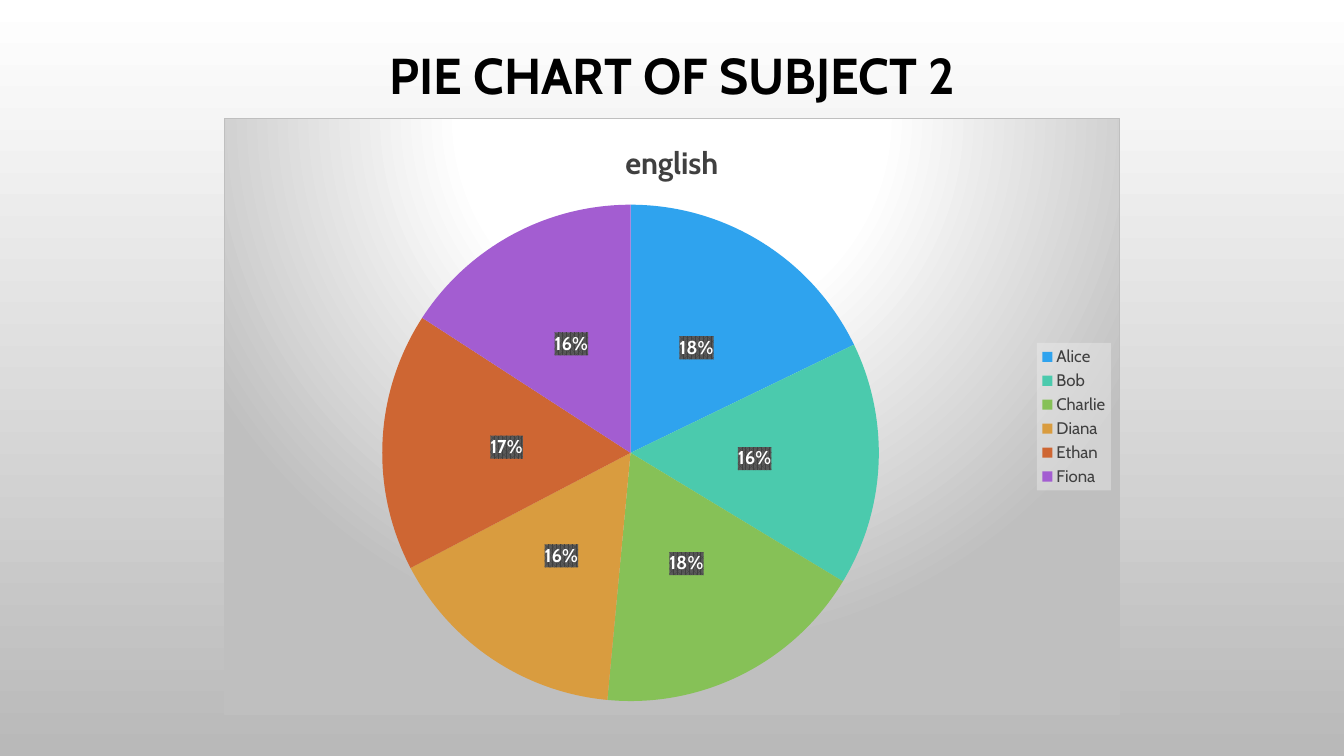
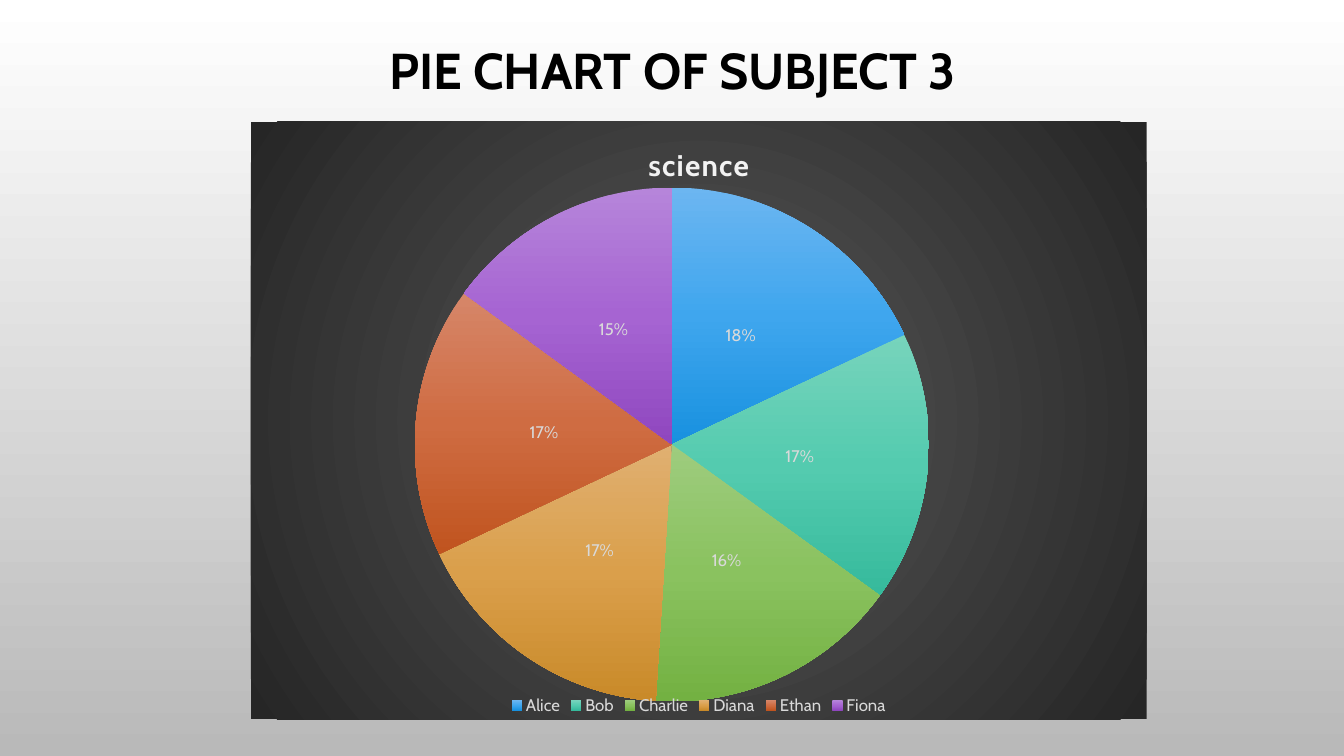
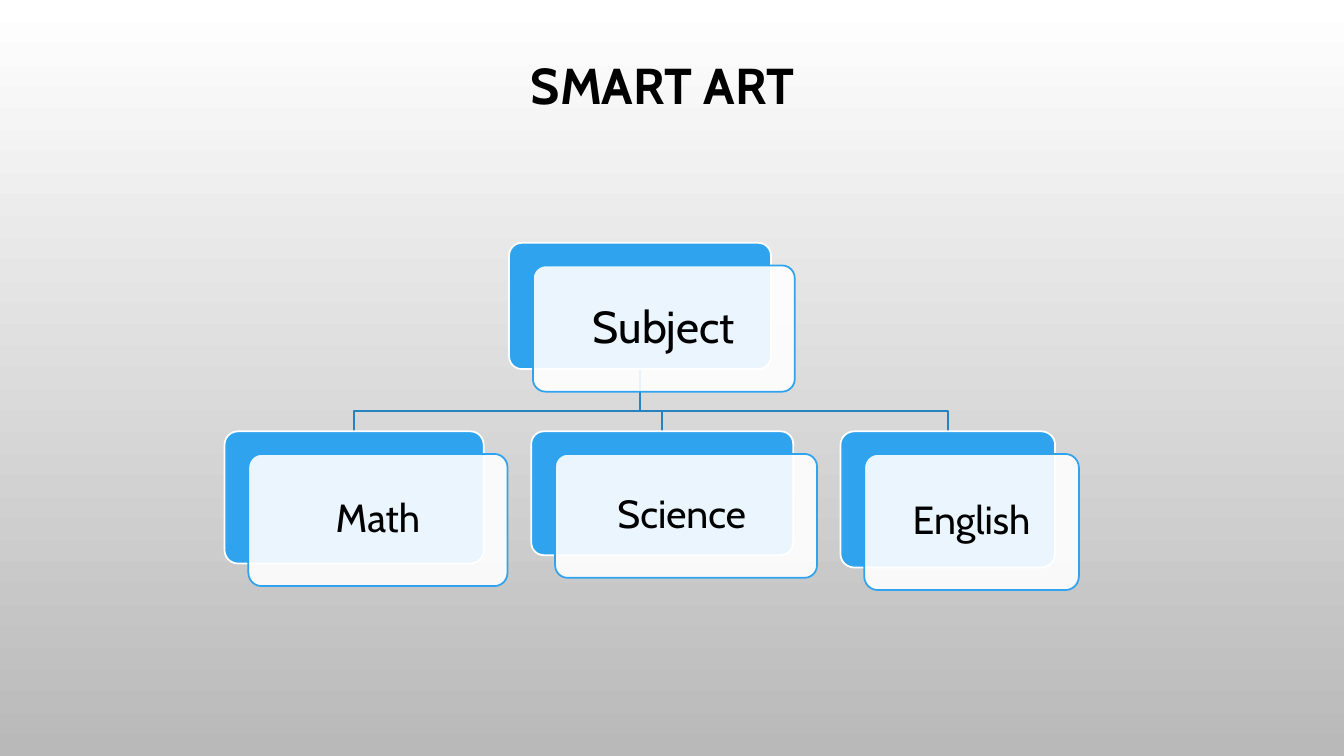
from lxml import etree
from pptx import Presentation
from pptx.chart.data import CategoryChartData
from pptx.dml.color import RGBColor
from pptx.enum.chart import XL_CHART_TYPE, XL_LABEL_POSITION, XL_LEGEND_POSITION
from pptx.enum.shapes import MSO_SHAPE
from pptx.enum.text import MSO_ANCHOR, PP_ALIGN
from pptx.oxml import parse_xml
from pptx.oxml.ns import nsdecls, qn
from pptx.util import Cm, Pt

PIE = XL_CHART_TYPE.PIE
LABEL_CENTER = XL_LABEL_POSITION.CENTER
LEGEND_RIGHT = XL_LEGEND_POSITION.RIGHT
LEGEND_BOTTOM = XL_LEGEND_POSITION.BOTTOM
ROUNDED = MSO_SHAPE.ROUNDED_RECTANGLE
MIDDLE = MSO_ANCHOR.MIDDLE
CENTER = PP_ALIGN.CENTER

FONT = "Cabin"
COLORS = {
    "text": "000000",
    "white": "FFFFFF",
    "page_end": "B9B9B9",
    "card": "2FA3EE",
    "branch": "2683BF",
    "dark_text": "404040",
    "light_text": "D9D9D9",
    "heading_light": "F2F2F2",
    "border": "BFBFBF",
    "hatch": "595959",
    "night": "262626",
}

STUDENTS = ["Alice", "Bob", "Charlie", "Diana", "Ethan", "Fiona"]
CHART_SIZE = (22.58, 15.06)

PIE_SLIDES = [
    {
        "title": "PIE CHART OF SUBJECT 2",
        "title_box": (2.34, 0.13, 29.21, 3.68),
        "corner": (5.64, 2.97),
        "subject": "english",
        "shares": [18, 16, 18, 16, 17, 16],
        "slices": ["2FA3EE", "4BCAAD", "86C157", "D99C3F", "CE6633", "A35DD1"],
        "heading": {"size": 22, "color": "dark_text", "bold": True},
        "spacing": 0,
        "labels": {"size": 13.3, "color": "white", "bold": True},
        "hatched": True,
        "legend": {"size": 12, "color": "dark_text"},
        "legend_side": LEGEND_RIGHT,
        "backdrop": [(0, COLORS["white"]), (39, COLORS["white"]), (100, COLORS["border"])],
        "focus": (50, -80, 50, 180),
        "bordered": True,
        "plot": None,
    },
    {
        "title": "PIE CHART OF SUBJECT 3",
        "title_box": (2.34, 0, 29.21, 3.68),
        "corner": (6.32, 3.07),
        "subject": "science",
        "shares": [18, 17, 16, 17, 17, 15],
        "slices": [
            ("6CB6F1", "3FA6EE", "1891DF"),
            ("77D4BC", "54CBAF", "36BA9C"),
            ("9ECC7E", "8AC25F", "73B142"),
            ("E0B071", "DA9F4B", "C98A29"),
            ("D68669", "CF6C42", "C0541F"),
            ("B685DA", "A664D2", "8F47BF"),
        ],
        "heading": {"size": 21.3, "color": "heading_light", "bold": True},
        "spacing": 100,
        "labels": {"size": 12, "color": "light_text"},
        "hatched": False,
        "legend": {"size": 12, "color": "light_text"},
        "legend_side": LEGEND_BOTTOM,
        "backdrop": [(0, COLORS["hatch"]), (100, COLORS["night"])],
        "focus": (50, 50, 50, 50),
        "bordered": False,
        "plot": {"x": 0.18, "y": 0.11, "w": 0.58, "h": 0.86},
    },
]

TREE_TITLE = ("SMART ART", (2.31, 0, 28.78, 4.45))
ROOT = ("Subject", 32, (12.83, 6.12, 6.6, 3.18))
CHILD_TOP = 10.87
CHILDREN = [
    ("Math", 28, (5.66, CHILD_TOP, 6.53, 3.33)),
    ("Science ", 28, (13.39, CHILD_TOP, 6.6, 3.12)),
    ("English", 28, (21.18, CHILD_TOP, 5.41, 3.43)),
]
CARD_SHIFT = (0.6, 0.57)
BRANCH_TURN = 10.36
CARD_INSET = 0.3


def rgb(name):
    return RGBColor.from_string(COLORS[name])


def style(font, size, color, bold=False):
    for attribute, value in {"name": FONT, "size": Pt(size), "bold": bold}.items():
        setattr(font, attribute, value)
    font.color.rgb = rgb(color)


def write(frame, text, size, bold=False, inset=None):
    frame.word_wrap = True
    frame.vertical_anchor = MIDDLE
    if inset is not None:
        for side in ("left", "top", "right", "bottom"):
            setattr(frame, f"margin_{side}", Cm(inset))
    line = frame.paragraphs[0]
    line.alignment = CENTER
    line.line_spacing = 0.9
    run = line.add_run()
    run.text = text
    style(run.font, size, "text", bold)


def add_slide(prs, title, box):
    slide = prs.slides.add_slide(prs.slide_layouts[6])
    frame = slide.shapes.add_textbox(*map(Cm, box)).text_frame
    write(frame, title, 36, bold=True)
    return slide


def gradient(stops, focus=None):
    marks = "".join(
        f'<a:gs pos="{pos * 1000}"><a:srgbClr val="{color}"/></a:gs>' for pos, color in stops
    )
    course = '<a:lin ang="5400000" scaled="0"/>'
    if focus:
        sides = " ".join(f'{side}="{value * 1000}"' for side, value in zip("ltrb", focus))
        course = f'<a:path path="circle"><a:fillToRect {sides}/></a:path>'
    return f'<a:gradFill {nsdecls("a")}><a:gsLst>{marks}</a:gsLst>{course}</a:gradFill>'


def paint(chart_part, content):
    look = parse_xml(f'<c:spPr {nsdecls("c", "a")}>{content}</c:spPr>')
    chart_part.find(qn("c:txPr")).addprevious(look)


def place_plot(chart_space, bounds):
    area = chart_space.find(".//" + qn("c:plotArea"))
    for layout in area.findall(qn("c:layout")):
        area.remove(layout)
    modes = '<c:layoutTarget val="inner"/><c:xMode val="edge"/><c:yMode val="edge"/>'
    values = "".join(f'<c:{key} val="{value}"/>' for key, value in bounds.items())
    area.insert(0, parse_xml(
        f'<c:layout {nsdecls("c")}><c:manualLayout>{modes}{values}</c:manualLayout></c:layout>'
    ))


def add_pie(slide, content):
    data = CategoryChartData()
    data.categories = STUDENTS
    data.add_series(content["subject"], content["shares"])
    chart = slide.shapes.add_chart(PIE, *map(Cm, content["corner"] + CHART_SIZE), data).chart
    style(chart.font, 10, "text")

    chart.has_title = True
    heading = chart.chart_title.text_frame.paragraphs[0].add_run()
    heading.text = content["subject"]
    style(heading.font, **content["heading"])
    if content["spacing"]:
        heading.font._element.set("spc", str(content["spacing"]))

    chart.has_legend = True
    legend = chart.legend
    legend.position = content["legend_side"]
    legend.include_in_layout = False
    style(legend.font, **content["legend"])

    pie = chart.plots[0]
    pie.vary_by_categories = True
    series = pie.series[0]
    for index, color in enumerate(content["slices"]):
        piece = series.points[index].format
        if isinstance(color, str):
            piece.fill.solid()
            piece.fill.fore_color.rgb = RGBColor.from_string(color)
        else:
            look = piece._element.get_or_add_spPr()
            look.insert(0, parse_xml(gradient(zip((0, 50, 100), color))))
        piece.line.fill.background()

    labels = series.data_labels
    settings = {
        "show_percentage": True,
        "show_value": False,
        "number_format": "0%",
        "number_format_is_linked": False,
        "position": LABEL_CENTER,
    }
    for attribute, value in settings.items():
        setattr(labels, attribute, value)
    style(labels.font, **content["labels"])

    if content["hatched"]:
        paint(labels._element, (
            '<a:pattFill prst="pct75">'
            f'<a:fgClr><a:srgbClr val="{COLORS["dark_text"]}"/></a:fgClr>'
            f'<a:bgClr><a:srgbClr val="{COLORS["hatch"]}"/></a:bgClr></a:pattFill>'
        ))
        paint(legend._element, (
            f'<a:solidFill><a:srgbClr val="{COLORS["heading_light"]}">'
            '<a:alpha val="39000"/></a:srgbClr></a:solidFill>'
        ))
    edge = "<a:ln><a:noFill/></a:ln>"
    if content["bordered"]:
        edge = (
            f'<a:ln w="{Pt(0.75)}"><a:solidFill><a:srgbClr val="{COLORS["border"]}"/>'
            "</a:solidFill></a:ln>"
        )
    paint(chart._chartSpace, gradient(content["backdrop"], content["focus"]) + edge)
    if content["plot"]:
        place_plot(chart._chartSpace, content["plot"])


def outline(shape, color):
    shape.shadow.inherit = False
    shape.line.color.rgb = rgb(color)
    shape.line.width = Pt(1.25)


def add_branch(slide, child_box):
    left, top, width, height = ROOT[2]
    start_x, start_y = left + width / 2, top + height
    end_x = child_box[0] + child_box[2] / 2
    route = [(start_x, BRANCH_TURN), (end_x, BRANCH_TURN), (end_x, child_box[1])]
    builder = slide.shapes.build_freeform(Cm(start_x), Cm(start_y))
    builder.add_line_segments([(Cm(x), Cm(y)) for x, y in route], close=False)
    branch = builder.convert_to_shape()
    branch.fill.background()
    outline(branch, "branch")


def add_panel(slide, box, fill, line):
    panel = slide.shapes.add_shape(ROUNDED, *map(Cm, box))
    panel.adjustments[0] = 0.1
    panel.fill.solid()
    panel.fill.fore_color.rgb = rgb(fill)
    outline(panel, line)
    return panel


def add_card(slide, text, size, box):
    left, top, width, height = box
    add_panel(slide, box, "card", "white")
    shifted = (left + CARD_SHIFT[0], top + CARD_SHIFT[1], width, height)
    front = add_panel(slide, shifted, "white", "card")
    tint = front._element.spPr.find(qn("a:solidFill")).find(qn("a:srgbClr"))
    etree.SubElement(tint, qn("a:alpha")).set("val", "90000")
    write(front.text_frame, text, size, inset=CARD_INSET)


def main():
    prs = Presentation()
    prs.slide_width, prs.slide_height = Cm(33.87), Cm(19.05)
    page = prs.slide_master.background.fill
    page.gradient()
    page.gradient_angle = 270
    for stop, position, color in zip(page.gradient_stops, (0, 1), ("white", "page_end")):
        stop.position = position
        stop.color.rgb = rgb(color)

    for content in PIE_SLIDES:
        add_pie(add_slide(prs, content["title"], content["title_box"]), content)

    tree = add_slide(prs, *TREE_TITLE)
    for child in reversed(CHILDREN):
        add_branch(tree, child[2])
    for card in [ROOT, *CHILDREN]:
        add_card(tree, *card)

    prs.save("out.pptx")


if __name__ == "__main__":
    main()
